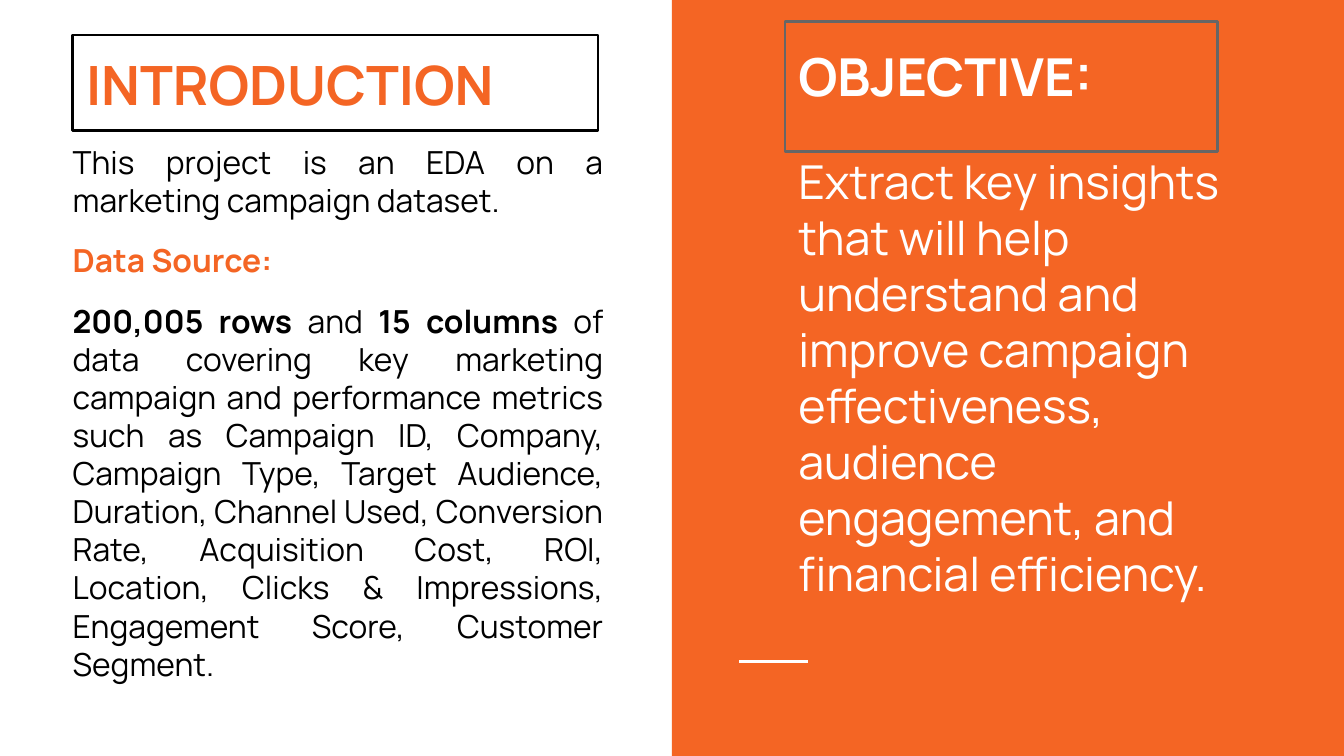
from dataclasses import dataclass

import lxml.etree
import pptx
import pptx.dml.color
import pptx.enum.shapes
import pptx.enum.text
import pptx.oxml.ns
import pptx.util

ALIGN = pptx.enum.text.PP_ALIGN
ANCHOR = pptx.enum.text.MSO_ANCHOR
Inches = pptx.util.Inches


@dataclass(frozen=True)
class Theme:
    font: str = "Manrope"
    orange: str = "F46524"
    black: str = "000000"
    white: str = "FFFFFF"
    gray: str = "666666"
    title_size: int = 29
    heading_size: int = 28
    objective_size: int = 25
    intro_size: int = 17
    line_width: float = 1.5
    inset: float = 0.1
    gap: int = 12


THEME = Theme()
SLIDE_WIDTH = 10
SLIDE_HEIGHT = SLIDE_WIDTH * 9 / 16
HALF = SLIDE_WIDTH / 2

# Each paragraph is a list of runs: (text, colour, bold)
TITLE = [[("INTRODUCTION", THEME.orange, True)]]
INTRO = [
    [("This project is an EDA on a marketing campaign dataset.", THEME.black, False)],
    [("Data Source:", THEME.orange, True)],
    [
        ("200,005 rows", THEME.black, True),
        (" and ", THEME.black, False),
        ("15 columns", THEME.black, True),
        (" of data covering key marketing campaign and performance metrics such as "
         "Campaign ID, Company, Campaign Type, Target Audience, Duration, Channel Used, "
         "Conversion Rate, Acquisition Cost, ROI, Location, Clicks & Impressions, "
         "Engagement Score, Customer Segment.", THEME.black, False),
    ],
]
HEADING = [[("OBJECTIVE:", THEME.white, True)]]
OBJECTIVE = [[
    ("Extract key insights that will help understand and improve campaign effectiveness, "
     "audience engagement, and financial efficiency.", THEME.white, False),
]]

# Placeholder index: box, paragraphs, size, alignment, anchor, line spacing, outline
BLOCKS = {
    0: ((0.54, 0.26, 3.91, 0.71), TITLE, THEME.title_size,
        ALIGN.LEFT, ANCHOR.BOTTOM, 1.0, THEME.black),
    1: ((0.44, 0.96, 4.15, 4.49), INTRO, THEME.intro_size,
        ALIGN.JUSTIFY, ANCHOR.TOP, 1.0, None),
    2: ((5.84, 1.04, 3.49, 4.19), OBJECTIVE, THEME.objective_size,
        ALIGN.LEFT, ANCHOR.TOP, 1.0, None),
    3: ((5.84, 0.16, 3.22, 0.97), HEADING, THEME.heading_size,
        ALIGN.JUSTIFY, ANCHOR.TOP, 1.15, THEME.gray),
}


def color(value):
    return pptx.dml.color.RGBColor.from_string(value)


def set_line(line, value):
    line.color.rgb = color(value)
    line.width = pptx.util.Pt(THEME.line_width)


def add_element(parent, tag):
    lxml.etree.SubElement(parent, pptx.oxml.ns.qn(tag))


def add_backdrop(slide):
    """Put the orange half and its short rule behind the placeholders."""
    panel = slide.shapes.add_shape(
        pptx.enum.shapes.MSO_SHAPE.RECTANGLE,
        Inches(HALF), 0, Inches(HALF), Inches(SLIDE_HEIGHT))
    panel.shadow.inherit = False
    panel.fill.solid()
    panel.fill.fore_color.rgb = color(THEME.orange)
    panel.line.fill.background()

    rule = slide.shapes.add_connector(
        pptx.enum.shapes.MSO_CONNECTOR.STRAIGHT,
        Inches(5.5), Inches(4.92), Inches(6.01), Inches(4.92))
    set_line(rule.line, THEME.white)
    add_element(rule.element.spPr, "a:effectLst")

    tree = panel.element.getparent()
    for position, shape in enumerate((panel, rule), start=2):
        tree.insert(position, shape.element)


def fill_placeholder(shape, box, paragraphs, size, alignment, anchor, spacing, outline):
    shape.left, shape.top, shape.width, shape.height = map(Inches, box)
    if outline:
        set_line(shape.line, outline)
    frame = shape.text_frame
    frame.word_wrap = True
    frame.auto_size = pptx.enum.text.MSO_AUTO_SIZE.NONE
    frame.vertical_anchor = anchor
    frame.margin_left = frame.margin_right = Inches(THEME.inset)
    frame.margin_top = frame.margin_bottom = Inches(THEME.inset)

    is_title = shape.placeholder_format.idx == 0
    for number, runs in enumerate(paragraphs):
        paragraph = frame.add_paragraph() if number else frame.paragraphs[0]
        paragraph.alignment = alignment
        paragraph.line_spacing = spacing
        paragraph.space_before = pptx.util.Pt(0 if is_title else THEME.gap)
        paragraph.space_after = pptx.util.Pt(0)
        properties = paragraph._p.get_or_add_pPr()
        properties.set("marL", "0")
        properties.set("indent", "0")
        add_element(properties, "a:buNone")
        for text, run_color, bold in runs:
            run = paragraph.add_run()
            run.text = text
            run.font.name = THEME.font
            run.font.size = pptx.util.Pt(size)
            run.font.bold = bold
            run.font.color.rgb = color(run_color)


def main():
    presentation = pptx.Presentation()
    presentation.slide_width = Inches(SLIDE_WIDTH)
    presentation.slide_height = Inches(SLIDE_HEIGHT)
    comparison_layout = presentation.slide_layouts[4]
    slide = presentation.slides.add_slide(comparison_layout)

    for shape in list(slide.placeholders):
        block = BLOCKS.get(shape.placeholder_format.idx)
        if block:
            fill_placeholder(shape, *block)
        else:
            shape.element.getparent().remove(shape.element)
    add_backdrop(slide)
    presentation.save("out.pptx")


if __name__ == "__main__":
    main()
